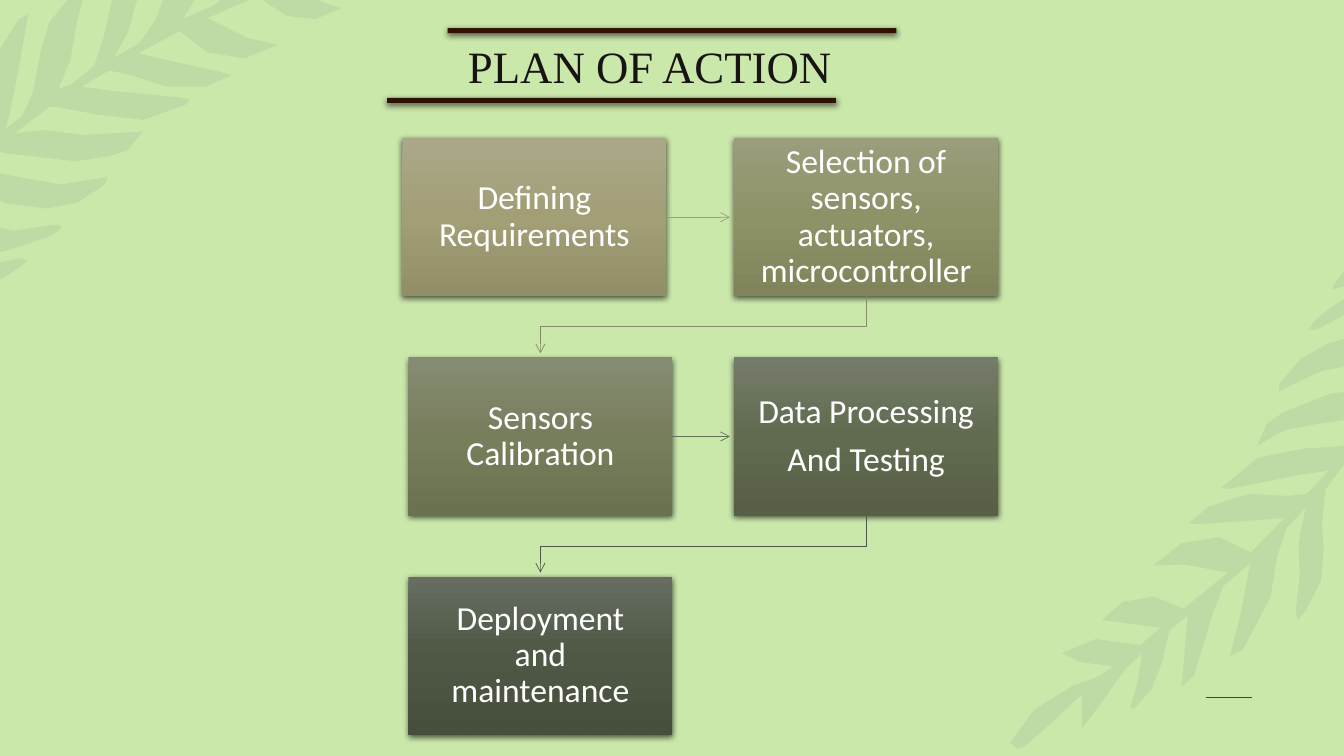
from copy import deepcopy

from lxml import etree
from pptx import Presentation
from pptx import util as u
from pptx.dml.color import RGBColor
from pptx.enum import shapes, text
from pptx.oxml.ns import qn

Inches = u.Inches
GREEN = RGBColor(0xCB, 0xE8, 0xAB)
LEAF = RGBColor(0x5D, 0x6A, 0x76)
BROWN = RGBColor(0x2F, 0x12, 0x03)
RULE = RGBColor(0x54, 0x3E, 0x34)
INK = RGBColor(0x17, 0x14, 0x13)
WHITE = RGBColor(0xFF, 0xFF, 0xFF)

WIDE, HIGH = 2.62, 1.57
LEFT, RIGHT = 4.05, 7.28
TOP, STEP = 1.37, 2.175
GAP = 0.04

# Step: left, row, paragraphs, gradient from top to bottom
STEPS = [
    (3.99, 0, ["Defining Requirements"], "AAA889 A29F77 928F68"),
    (RIGHT, 0, ["Selection of sensors, actuators, microcontroller"], "9B9D7B 8F9267 81845A"),
    (LEFT, 1, ["Sensors Calibration"], "868C72 777E5C 6B7250"),
    (RIGHT, 1, ["Data Processing", "And Testing"], "757C69 616B50 576046"),
    (LEFT, 2, ["Deployment and maintenance"], "676E61 4E5844 454F3C"),
]
LINKS = ["A09D79", "868A65", "687056", "4E5745"]

# Leaf outlines, in hundredths of an inch
UPPER = [
    "19,256 28,258 20,265 1,277 0,277 0,260 3,260",
    "56,223 60,224 61,226 51,234 9,248 0,250 0,226 13,229 53,223",
    "0,172 15,175 60,183 99,177 107,175 104,183 77,201 47,207 7,202 0,199",
    "262,0 316,0 325,4 339,8 313,19 285,16 263,2",
    "66,0 82,0 76,23 70,59 58,88 70,84 93,66 103,36 111,0 136,0 127,32 113,57 138,43 "
    "154,20 162,0 193,0 181,19 213,5 218,0 247,0 206,18 246,38 266,42 275,45 242,58 "
    "206,52 178,31 137,53 163,59 221,72 229,75 204,86 165,86 128,74 108,70 81,86 109,90 "
    "181,97 188,99 184,104 142,119 98,114 56,106 49,106 15,132 45,129 82,134 136,131 "
    "142,130 127,149 108,155 75,160 39,156 5,152 0,151 0,48 19,19 28,14 19,66 9,116 "
    "5,128 22,115 32,94 41,48 49,22 66,1",
]
LOWER = [
    "1333,442 1333,461 1315,485 1311,522 1313,543 1310,577 1295,606 1287,615 1285,607 "
    "1289,572 1288,538 1295,504 1276,524 1267,551 1260,593 1233,644 1220,651 1231,607 "
    "1240,559 1213,582 1202,612 1184,671 1172,681 1175,647 1178,611 1160,625 1153,656 "
    "1142,684 1125,703 1121,702 1128,678 1133,648 1116,664 1094,695 1073,723 1073,689 "
    "1043,717 1017,740 1009,743 1002,737 1026,704 1063,681 1090,671 1104,661 1071,657 "
    "1053,648 1087,634 1131,640 1151,623 1093,615 1114,597 1145,592 1174,604 1218,568 "
    "1174,560 1144,561 1172,539 1209,533 1241,548 1274,514 1247,516 1188,520 1179,519 "
    "1200,502 1239,490 1277,492 1296,490 1318,467 1290,471 1220,485 1211,484 1248,454 "
    "1294,445 1326,443",
    "1333,389 1333,417 1304,421 1274,427 1247,442 1257,420 1273,409 1321,390",
    "1333,336 1333,364 1311,368 1275,385 1268,389 1269,381 1290,356 1317,341",
    "1333,297 1333,313 1306,327 1298,327 1305,317 1323,303",
    "1333,269 1333,284 1321,287 1326,278",
]


def add_leaf(slide, outlines):
    unit = Inches(0.01)
    pen = slide.shapes.build_freeform(scale=unit)
    for outline in outlines:
        first, *rest = [tuple(map(int, dot.split(","))) for dot in outline.split()]
        pen.move_to(*first)
        pen.add_line_segments(rest, close=True)
    leaf = pen.convert_to_shape()
    leaf.shadow.inherit = False
    leaf.fill.solid()
    leaf.fill.fore_color.rgb = LEAF
    leaf.line.fill.background()
    color = leaf._element.spPr.find(".//" + qn("a:srgbClr"))
    etree.SubElement(color, qn("a:alpha"), val="10000")


def add_block(slide, left, top, wide, high):
    """Add a borderless rectangle with a soft shadow below it."""
    block = slide.shapes.add_shape(shapes.MSO_SHAPE.RECTANGLE, *map(Inches, (left, top, wide, high)))
    block.line.fill.background()
    block.shadow.inherit = False
    effects = block._element.spPr.find(qn("a:effectLst"))
    shade = etree.SubElement(effects, qn("a:outerShdw"), blurRad="57150", dist="19050",
                             dir="5400000", algn="ctr", rotWithShape="0")
    color = etree.SubElement(shade, qn("a:srgbClr"), val="000000")
    etree.SubElement(color, qn("a:alpha"), val="63000")
    return block


def add_bar(slide, left, top):
    bar = add_block(slide, left, top, 4.45, 0.05)
    bar.fill.solid()
    bar.fill.fore_color.rgb = BROWN


def write(para, words, font, size, color):
    run = para.add_run()
    run.text = words
    run.font.name, run.font.size = font, u.Pt(size)
    run.font.color.rgb = color
    para.line_spacing = 0.9


def add_step(slide, left, row, lines, colors):
    box = add_block(slide, left, TOP + row * STEP, WIDE, HIGH)
    box.fill.gradient()
    box.fill.gradient_angle = 270
    stops = box._element.spPr.find(".//" + qn("a:gsLst"))
    stops.append(deepcopy(stops[-1]))
    for stop, color, place in zip(box.fill.gradient_stops, colors.split(), (0, 0.5, 1)):
        stop.color.rgb = RGBColor.from_string(color)
        stop.position = place
    frame = box.text_frame
    frame.word_wrap = True
    frame.vertical_anchor = text.MSO_ANCHOR.MIDDLE
    frame.margin_left = frame.margin_right = Inches(0.19)
    frame.margin_top = frame.margin_bottom = Inches(0.19)
    for i, words in enumerate(lines):
        para = frame.add_paragraph() if i else frame.paragraphs[0]
        para.alignment = text.PP_ALIGN.CENTER
        para.space_after = u.Pt(8.4)
        write(para, words, "Calibri", 24, WHITE)
    return box


def style(link, color):
    link.line.color.rgb = RGBColor.from_string(color)
    link.line.width = u.Pt(0.5)
    etree.SubElement(link.line._get_or_add_ln(), qn("a:tailEnd"), type="arrow")


def add_line(slide, x1, y1, x2, y2):
    line = slide.shapes.add_connector(shapes.MSO_CONNECTOR.STRAIGHT, x1, y1, x2, y2)
    etree.SubElement(line._element.spPr, qn("a:effectLst"))
    return line


def link_across(slide, start, end, color):
    mid = start.top + start.height // 2
    link = add_line(slide, start.left + start.width, mid, end.left - Inches(GAP), mid)
    link.begin_connect(start, 3)
    style(link, color)


def link_down(slide, start, end, color):
    x1, y1 = start.left + start.width // 2, start.top + start.height
    x2, y2 = Inches(LEFT + WIDE / 2), end.top - Inches(GAP)
    bend = (y1 + end.top) // 2
    pen = slide.shapes.build_freeform(x1, y1, scale=1.0)
    pen.add_line_segments([(x1, bend), (x2, bend), (x2, y2)], close=False)
    link = pen.convert_to_shape()
    link.shadow.inherit = False
    link.fill.background()
    style(link, color)


def set_title(slide, words):
    title = slide.shapes.title
    title.left, title.top, title.width, title.height = map(Inches, (4.54, 0.5, 4.88, 1))
    frame = title.text_frame
    frame.auto_size = text.MSO_AUTO_SIZE.NONE
    frame.vertical_anchor = text.MSO_ANCHOR.BOTTOM
    frame.margin_bottom = Inches(0.58)
    frame.paragraphs[0].alignment = text.PP_ALIGN.LEFT
    write(frame.paragraphs[0], words, "Times New Roman", 32, INK)


def main():
    deck = Presentation()
    deck.slide_width, deck.slide_height = Inches(13.33), Inches(7.5)
    slide = deck.slides.add_slide(deck.slide_layouts[5])
    # Backdrop
    slide.background.fill.solid()
    slide.background.fill.fore_color.rgb = GREEN
    rule = add_line(slide, *map(Inches, (11.96, 6.92, 12.42, 6.92)))
    rule.line.color.rgb, rule.line.width = RULE, u.Pt(1.25)
    for outlines in (UPPER, LOWER):
        add_leaf(slide, outlines)
    # Heading
    set_title(slide, "PLAN OF ACTION")
    add_bar(slide, 3.84, 0.97)
    add_bar(slide, 4.44, 0.28)
    # Flow
    boxes = [add_step(slide, *step) for step in STEPS]
    for i, color in enumerate(LINKS):
        join = link_down if i % 2 else link_across
        join(slide, boxes[i], boxes[i + 1], color)
    deck.save("out.pptx")


if __name__ == "__main__":
    main()
